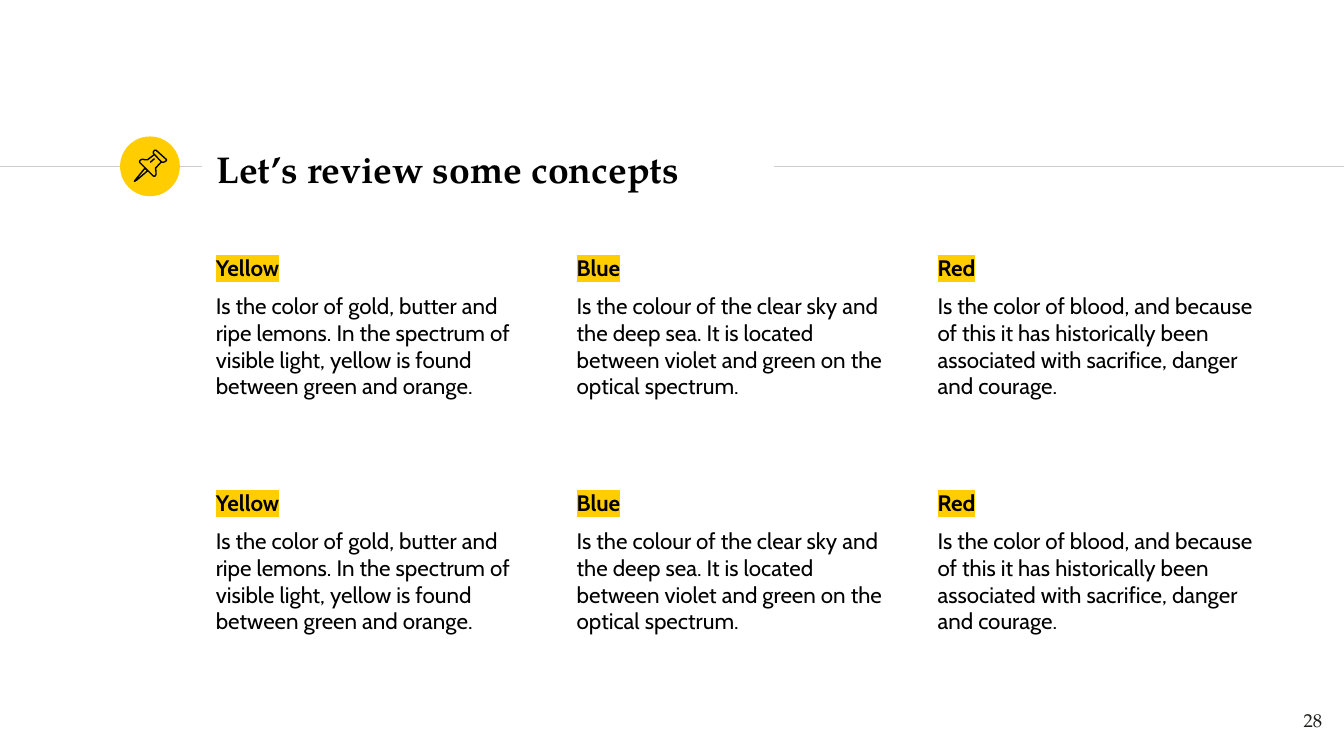
from dataclasses import dataclass
from itertools import product

from lxml.etree import SubElement
from pptx import Presentation
from pptx.dml.color import RGBColor
from pptx.enum.shapes import MSO_CONNECTOR, MSO_SHAPE
from pptx.enum.text import MSO_ANCHOR, PP_ALIGN
from pptx.oxml import parse_xml
from pptx.oxml.ns import nsdecls, qn
from pptx.slide import Slide
from pptx.text.text import TextFrame, _Run as Run
from pptx.util import Cm, Pt

YELLOW = RGBColor(0xFF, 0xCD, 0x00)
BLACK = RGBColor(0x00, 0x00, 0x00)
INK = RGBColor(0x1D, 0x1D, 0x1B)
GREY = RGBColor(0xCC, 0xCC, 0xCC)
SERIF = "TeX Gyre Pagella"
SANS = "Cabin"

RULE_Y = 3.15
GRID_LEFT, GRID_TOP = 3.83, 4.55
COLUMN_STEP, ROW_STEP = 6.82, 4.44
ROWS = 2


@dataclass(frozen=True)
class Concept:
    name: str
    description: str


@dataclass(frozen=True)
class Outline:
    """Corner points in hundredths of a centimetre."""
    points: tuple[tuple[int, int], ...]
    closed: bool


CONCEPTS = (
    Concept("Yellow", "Is the color of gold, butter and ripe lemons. In the spectrum "
            "of visible light, yellow is found between green and orange."),
    Concept("Blue", "Is the colour of the clear sky and the deep sea. It is located "
            "between violet and green on the optical spectrum."),
    Concept("Red", "Is the color of blood, and because of this it has historically "
            "been associated with sacrifice, danger and courage."),
)

NEEDLE = Outline(((274, 318), (256, 340), (254, 343), (259, 340), (279, 323)), True)
CAP = Outline(((292, 292), (305, 306), (308, 307), (311, 306), (314, 304), (315, 302),
               (295, 284), (292, 284), (290, 287), (290, 290)), True)
BODY = Outline(((292, 292), (279, 302), (274, 302), (269, 301), (265, 303), (264, 305),
                (264, 307), (290, 333), (293, 333), (295, 330), (295, 325), (294, 318),
                (305, 306)), False)
GRIP = Outline(((284, 307), (292, 300)), False)
PUSHPIN = (NEEDLE, CAP, BODY, GRIP)


def add_rule(page: Slide, start: float, end: float) -> None:
    rule = page.shapes.add_connector(
        MSO_CONNECTOR.STRAIGHT, Cm(start), Cm(RULE_Y), Cm(end), Cm(RULE_Y))
    rule.line.color.rgb = GREY
    rule.line.width = Pt(0.75)
    SubElement(rule._element.spPr, qn("a:effectLst"))


def add_badge(page: Slide) -> None:
    badge = page.shapes.add_shape(
        MSO_SHAPE.OVAL, Cm(2.27), Cm(2.58), Cm(1.13), Cm(1.13))
    badge.shadow.inherit = False
    badge.fill.solid()
    badge.fill.fore_color.rgb = YELLOW
    badge.line.fill.background()


def add_outline(page: Slide, outline: Outline) -> None:
    start, *others = outline.points
    builder = page.shapes.build_freeform(*start, scale=Cm(0.01))
    builder.add_line_segments(others, close=outline.closed)
    shape = builder.convert_to_shape()
    shape.shadow.inherit = False
    shape.fill.background()
    shape.line.color.rgb = BLACK
    shape.line.width = Pt(0.75)


def add_text(page: Slide, left: float, top: float, width: float, height: float,
             text: str) -> TextFrame:
    """Add a wrapping text box with even margins; each line is a paragraph."""
    frame = page.shapes.add_textbox(Cm(left), Cm(top), Cm(width), Cm(height)).text_frame
    frame.word_wrap = True
    frame.margin_left = frame.margin_right = Cm(0.25)
    frame.margin_top = frame.margin_bottom = Cm(0.25)
    frame.text = text
    return frame


def style(span: Run, font: str, size: float, color: RGBColor, bold: bool = False) -> None:
    span.font.name = font
    span.font.size = Pt(size)
    span.font.color.rgb = color
    span.font.bold = bold


def highlight(span: Run, color: RGBColor) -> None:
    marker = parse_xml(
        f'<a:highlight {nsdecls("a")}><a:srgbClr val="{color}"/></a:highlight>')
    span.font._element.find(qn("a:solidFill")).addnext(marker)


def add_concept(page: Slide, concept: Concept, row: int, column: int) -> None:
    frame = add_text(page, GRID_LEFT + column * COLUMN_STEP, GRID_TOP + row * ROW_STEP,
                     6.48, 3.35, f"{concept.name}\n{concept.description}")
    heading, description = frame.paragraphs
    style(heading.runs[0], SANS, 12, BLACK, bold=True)
    highlight(heading.runs[0], YELLOW)
    description.space_before = Pt(6)
    style(description.runs[0], SANS, 12, BLACK)


def main() -> None:
    deck = Presentation()
    deck.slide_width, deck.slide_height = Cm(25.4), Cm(14.29)
    page = deck.slides.add_slide(deck.slide_layouts[6])

    add_rule(page, 0, 3.81)
    add_badge(page)
    add_rule(page, 14.63, 25.4)
    for outline in PUSHPIN:
        add_outline(page, outline)

    title = add_text(page, 3.84, 2.57, 10.77, 1.22, "Let’s review some concepts")
    title.vertical_anchor = MSO_ANCHOR.MIDDLE
    style(title.paragraphs[0].runs[0], SERIF, 20, BLACK, bold=True)

    for row, (column, concept) in product(range(ROWS), enumerate(CONCEPTS)):
        add_concept(page, concept, row, column)

    number = add_text(page, 23.72, 13.18, 1.52, 1.09, "28").paragraphs[0]
    number.alignment = PP_ALIGN.RIGHT
    style(number.runs[0], SERIF, 10, INK)

    deck.save("out.pptx")


if __name__ == "__main__":
    main()
